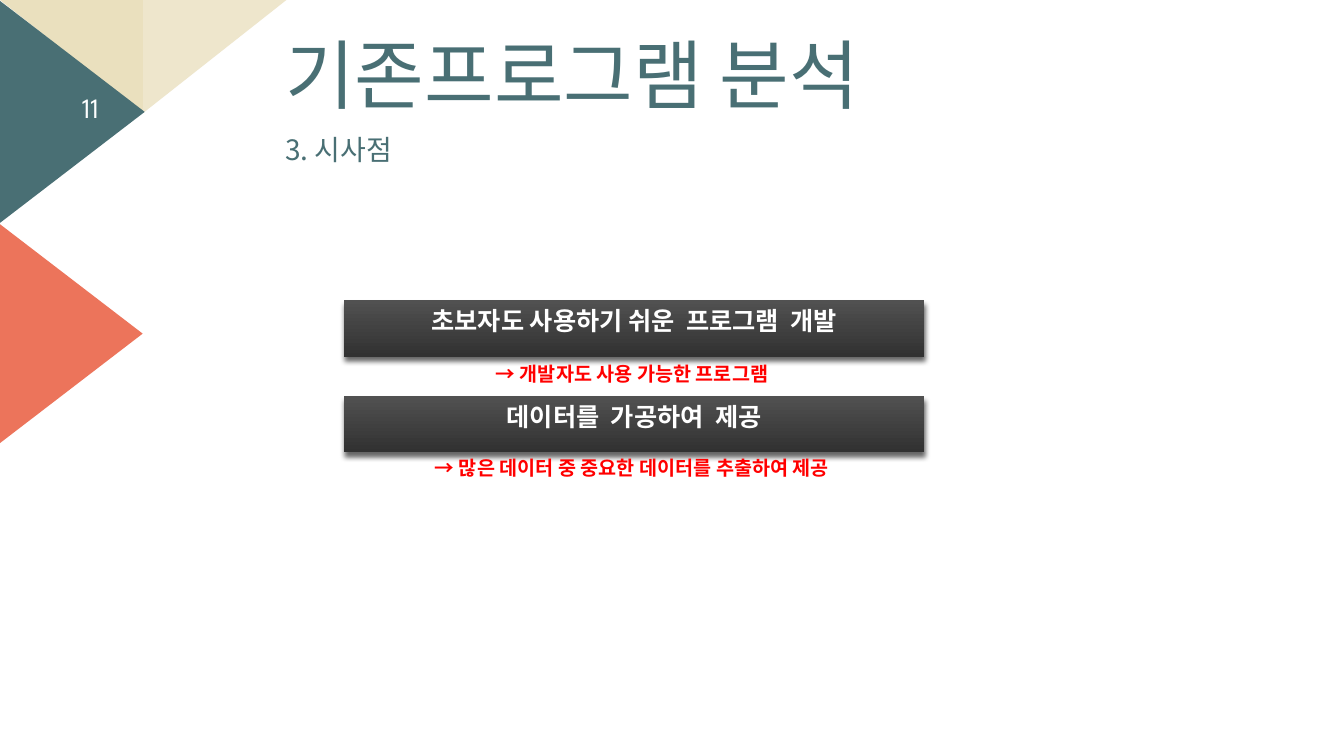
from pptx import Presentation
from pptx.dml.color import RGBColor
from pptx.enum.shapes import MSO_SHAPE
from pptx.enum.text import MSO_ANCHOR, MSO_AUTO_SIZE, PP_ALIGN
from pptx.oxml import parse_xml
from pptx.oxml.ns import nsdecls
from pptx.util import Inches, Pt

HUES = {
    "teal": "496F74", "coral": "EC745B", "sand": "EAE0BE", "cream": "EEE6CC",
    "top": "515151", "base": "313131", "red": "FF0000", "white": "FFFFFF",
    "page": "FEFFFF",
}
SANS = "Noto Sans CJK KR"
HEAD = "League Spartan"


def write(shape, text, size, hue, font=SANS, bold=False, align=PP_ALIGN.LEFT,
          anchor=MSO_ANCHOR.TOP, lines=None, before=0, indent=0):
    frame = shape.text_frame
    frame.word_wrap = True
    frame.auto_size = MSO_AUTO_SIZE.NONE
    frame.vertical_anchor = anchor
    par = frame.paragraphs[0]
    par.alignment = align
    par.space_before = Pt(before)
    if lines:
        par.line_spacing = lines
    props = par._p.get_or_add_pPr()
    props.set("marL", str(Inches(indent)))
    props.set("indent", str(-Inches(indent)))
    props.append(parse_xml(f"<a:buNone {nsdecls('a')}/>"))
    run = par.add_run()
    run.text = text
    run.font.size = Pt(size)
    run.font.bold = bold
    run.font.name = font
    run.font.color.rgb = RGBColor.from_string(HUES[hue])
    run._r.get_or_add_rPr().append(
        parse_xml(f'<a:ea {nsdecls("a")} typeface="{SANS}"/>'))


def place(shape, left, top, width, height):
    shape.left, shape.top = Inches(left), Inches(top)
    shape.width, shape.height = Inches(width), Inches(height)
    return shape


deck = Presentation()
deck.slide_width, deck.slide_height = Inches(13.33), Inches(7.5)
slide = deck.slides.add_slide(deck.slide_layouts[1])
title, body = slide.placeholders[0], slide.placeholders[1]
for holder in list(slide.placeholders)[2:]:
    holder.element.getparent().remove(holder.element)

# Corner triangles
for kind, left, top, width, height, turn, flip, hue in [
    (MSO_SHAPE.RIGHT_TRIANGLE, 0, 0, 1.42, 1.12, 180, False, "sand"),
    (MSO_SHAPE.RIGHT_TRIANGLE, 1.42, 0, 1.42, 1.12, 180, True, "cream"),
    (MSO_SHAPE.ISOSCELES_TRIANGLE, -0.39, 0.39, 2.21, 1.44, 90, False, "teal"),
    (MSO_SHAPE.ISOSCELES_TRIANGLE, -0.41, 2.59, 2.21, 1.44, 90, False, "coral"),
]:
    corner = slide.shapes.add_shape(
        kind, Inches(left), Inches(top), Inches(width), Inches(height))
    corner.rotation = turn
    if flip:
        corner.element.spPr.xfrm.set("flipH", "1")
    corner.shadow.inherit = False
    corner.fill.solid()
    corner.fill.fore_color.rgb = RGBColor.from_string(HUES[hue])
    corner.line.fill.background()

# Title and subtitle
place(title, 2.73, 0.33, 6.78, 1.29)
write(title, "기존프로그램 분석", 54, "teal", lines=0.9, before=10)
place(body, 2.73, 1.3, 3.46, 0.62)
write(body, "3. 시사점", 20, "teal", lines=0.9, before=10)

# Findings: a dark bar with a red note under it
group = slide.shapes.add_group_shape()
for top, low, head, note in [
    (2.98, 3.54, "초보자도 사용하기 쉬운  프로그램  개발",
     "→ 개발자도 사용 가능한 프로그램"),
    (3.93, 4.47, "데이터를  가공하여  제공",
     "→ 많은 데이터 중 중요한 데이터를 추출하여 제공"),
]:
    bar = group.shapes.add_shape(
        MSO_SHAPE.RECTANGLE, Inches(3.41), Inches(top), Inches(5.76), Inches(0.56))
    bar.line.fill.background()
    bar.fill.gradient()
    bar.fill.gradient_angle = 270
    for stop, hue, spot in zip(bar.fill.gradient_stops, ("top", "base"), (0, 1)):
        stop.color.rgb = RGBColor.from_string(HUES[hue])
        stop.position = spot
    bar.shadow.inherit = False
    bar.element.spPr.find(".//{*}effectLst").append(parse_xml(
        f'<a:outerShdw {nsdecls("a")} blurRad="{Pt(4)}" dist="{Pt(3)}" '
        'dir="5400000" rotWithShape="0"><a:srgbClr val="000000">'
        '<a:alpha val="60000"/></a:srgbClr></a:outerShdw>'))
    write(bar, head, 18, "white", font=HEAD, bold=True,
          align=PP_ALIGN.CENTER, before=10, indent=0.38)
    label = group.shapes.add_textbox(
        Inches(3.37), Inches(low), Inches(5.8), Inches(0.4))
    write(label, note, 14, "red", bold=True, align=PP_ALIGN.CENTER)

# Page number
page = slide.shapes.add_textbox(
    Inches(0.44), Inches(0.86), Inches(0.64), Inches(0.4))
write(page, "11", 20, "page", font=HEAD, align=PP_ALIGN.RIGHT,
      anchor=MSO_ANCHOR.MIDDLE)

deck.save("out.pptx")
